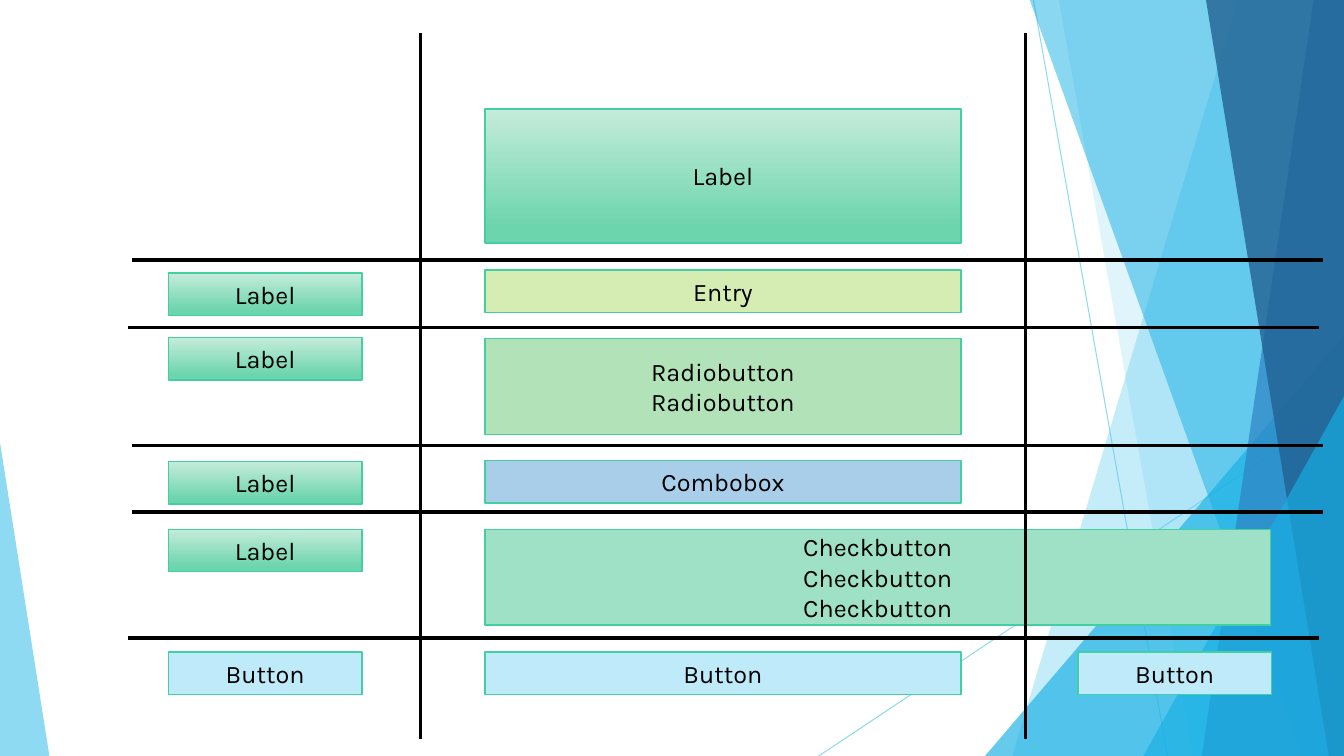
"""Build a slide showing form widgets arranged on a layout grid."""
from lxml.etree import SubElement
from pptx import Presentation
from pptx.dml.color import RGBColor
from pptx.enum.shapes import MSO_CONNECTOR, MSO_SHAPE
from pptx.enum.text import MSO_ANCHOR, PP_ALIGN
from pptx.oxml.ns import qn
from pptx.util import Inches, Pt

COLORS = {
    "sky": "5FCBEF", "cyan": "17B0E4", "blue": "2E83C3", "navy": "226292",
    "mint_light": "C5ECDB", "mint": "6DD5AE", "border": "42D0A2",
    "button": "BFEAF9", "entry": "D5EDB3", "radio": "B1E2B8",
    "check": "9FE1C6", "combo": "A8CEEA", "black": "000000",
}
TOP, RIGHT, BOTTOM = -0.01, 13.33, 7.5
ROW_HEIGHT, TALL_ROW = 0.42, 0.95
LEFT_COLUMN = (1.67, 1.92)
MIDDLE_COLUMN = (4.81, 4.72)
RIGHT_COLUMN = (10.69, 1.92)
SPANNING_COLUMNS = (4.81, 7.79)


def rgb(name):
    """Return the palette colour with the given name."""
    return RGBColor.from_string(COLORS[name])


def set_opacity(shape, percent):
    """Make the colours of a shape partly transparent."""
    for color in shape.element.spPr.iter(qn("a:srgbClr")):
        SubElement(color, qn("a:alpha"), val=str(percent * 1000))


def add_line(slide, start, end, color="black", width=2.25, opacity=100):
    """Draw a straight line without a shadow."""
    line = slide.shapes.add_connector(
        MSO_CONNECTOR.STRAIGHT, *map(Inches, (*start, *end)))
    line.line.color.rgb = rgb(color)
    line.line.width = Pt(width)
    if opacity < 100:
        set_opacity(line, opacity)
    SubElement(line.element.spPr, qn("a:effectLst"))


def paint_facet(facet, color, opacity):
    """Give a background facet its translucent fill and no outline."""
    facet.shadow.inherit = False
    facet.fill.solid()
    facet.fill.fore_color.rgb = rgb(color)
    facet.line.fill.background()
    set_opacity(facet, opacity)


def add_band(slide, top_x, bottom_x, color, opacity):
    """Fill the area from a slanted edge to the right side of the slide."""
    corners = [(RIGHT, TOP), (RIGHT, BOTTOM), (bottom_x, BOTTOM)]
    outline = slide.shapes.build_freeform(Inches(top_x), Inches(TOP), scale=1.0)
    outline.add_line_segments([(Inches(x), Inches(y)) for x, y in corners])
    paint_facet(outline.convert_to_shape(), color, opacity)


def add_triangle(slide, left, top, width, apex, color, opacity):
    """Draw a triangle standing on the bottom of the slide."""
    triangle = slide.shapes.add_shape(
        MSO_SHAPE.ISOSCELES_TRIANGLE,
        *map(Inches, (left, top, width, BOTTOM - top)))
    triangle.adjustments[0] = apex
    paint_facet(triangle, color, opacity)


def add_widget(slide, text, column, top, color=None, height=ROW_HEIGHT):
    """Draw a captioned box, with the mint gradient if no colour is given."""
    left, width = column
    widget = slide.shapes.add_shape(
        MSO_SHAPE.RECTANGLE, *map(Inches, (left, top, width, height)))
    widget.shadow.inherit = False
    if color:
        widget.fill.solid()
        widget.fill.fore_color.rgb = rgb(color)
    else:
        widget.fill.gradient()
        widget.fill.gradient_angle = 270
        stops = zip(widget.fill.gradient_stops,
                    ((0, "mint_light"), (0.88, "mint")))
        for stop, (position, shade) in stops:
            stop.position = position
            stop.color.rgb = rgb(shade)
    widget.line.color.rgb = rgb("border")
    widget.line.width = Pt(1)
    caption = widget.text_frame
    caption.text = text
    caption.word_wrap = True
    caption.vertical_anchor = MSO_ANCHOR.MIDDLE
    for paragraph in caption.paragraphs:
        paragraph.alignment = PP_ALIGN.CENTER
        paragraph.font.name = "Karla"
        paragraph.font.size = Pt(18)
        paragraph.font.color.rgb = rgb("black")


def add_background(slide):
    """Draw the translucent facets along the slide edges."""
    add_line(slide, (10.25, 0), (11.58, BOTTOM), "sky", 0.75, 70)
    add_line(slide, (RIGHT, 4.03), (8.12, BOTTOM), "sky", 0.75, 70)
    add_band(slide, 12.28, 10.04, "sky", 36)
    add_band(slide, 10.5, 11.83, "sky", 20)
    add_triangle(slide, 9.77, 3.33, 3.56, 1, "cyan", 66)
    add_band(slide, 10.21, 12.91, "cyan", 50)
    add_band(slide, 13.03, 11.92, "blue", 70)
    add_band(slide, 11.96, 13.18, "navy", 80)
    add_triangle(slide, 11.34, 3.93, 1.99, 1, "cyan", 66)
    add_triangle(slide, 0, 4.39, 0.49, 0, "sky", 70)


def add_widgets(slide):
    """Place the form widgets in their columns."""
    for top in (2.71, 3.35, 4.58, 5.25):
        add_widget(slide, "Label", LEFT_COLUMN, top)
    for column in (LEFT_COLUMN, RIGHT_COLUMN, MIDDLE_COLUMN):
        add_widget(slide, "Button", column, 6.47, "button")
    add_widget(slide, "Label", MIDDLE_COLUMN, 1.08, height=1.33)
    add_widget(slide, "Entry", MIDDLE_COLUMN, 2.68, "entry")
    add_widget(slide, "\n".join(["Radiobutton"] * 2), MIDDLE_COLUMN, 3.36,
               "radio", TALL_ROW)
    add_widget(slide, "\n".join(["Checkbutton"] * 3), SPANNING_COLUMNS, 5.25,
               "check", TALL_ROW)
    add_widget(slide, "Combobox", MIDDLE_COLUMN, 4.57, "combo")


def add_grid(slide):
    """Draw the lines between the rows and columns."""
    for left, y in ((1.31, 2.58), (1.27, 3.25), (1.31, 4.42),
                    (1.31, 5.08), (1.27, 6.33)):
        add_line(slide, (left, y), (left + 11.81, y))
    for x in (4.17, 10.17):
        add_line(slide, (x, 0.33), (x, 7.33))


def main():
    """Create and save the presentation."""
    deck = Presentation()
    deck.slide_width, deck.slide_height = Inches(RIGHT), Inches(BOTTOM)
    slide = deck.slides.add_slide(deck.slide_layouts[6])
    add_background(slide)
    add_widgets(slide)
    add_grid(slide)
    deck.save("out.pptx")


if __name__ == "__main__":
    main()
